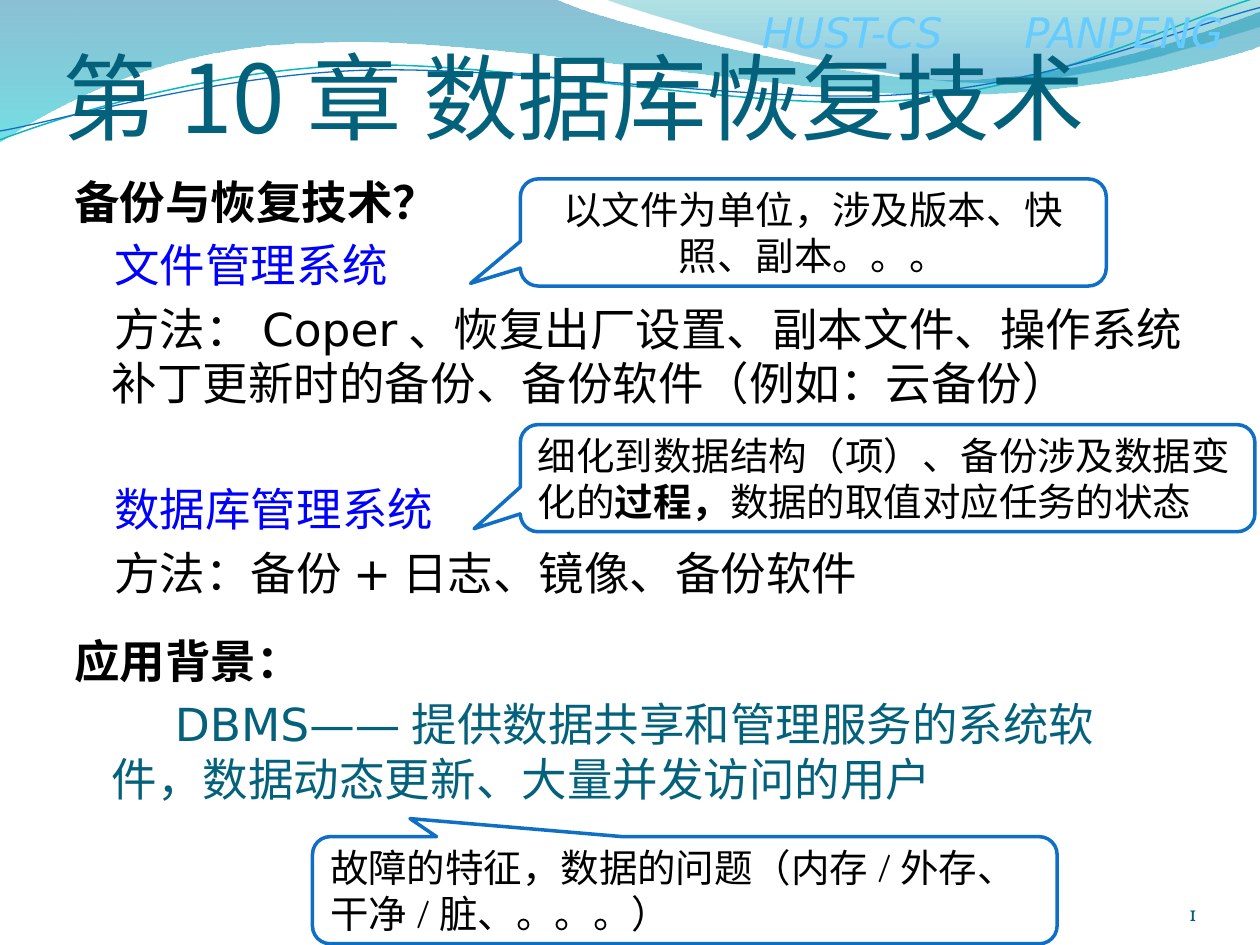
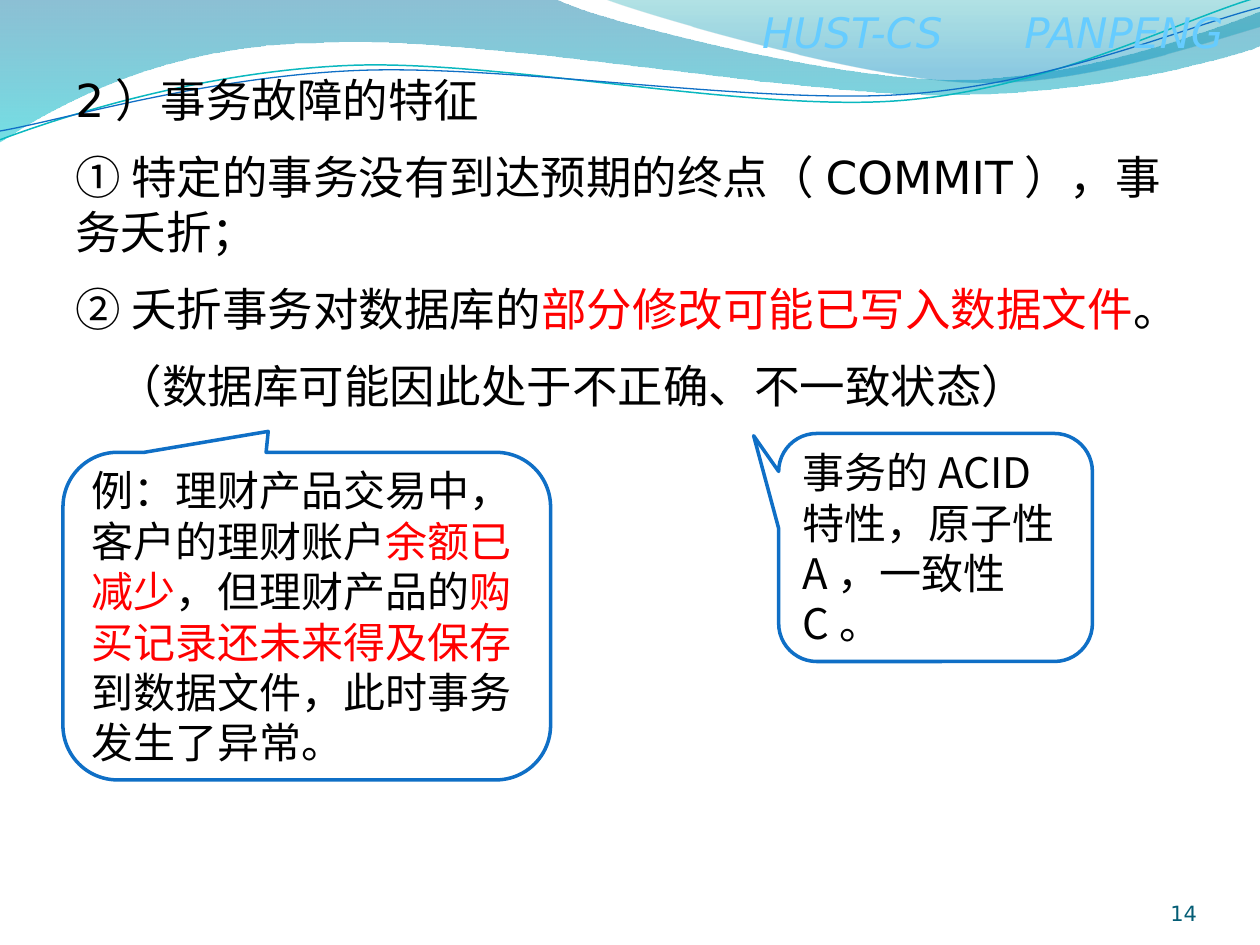
from pptx import Presentation
from pptx.dml.color import RGBColor
from pptx.enum.shapes import MSO_SHAPE
from pptx.enum.text import MSO_ANCHOR, PP_ALIGN
from pptx.oxml.ns import qn
from pptx.util import Inches, Pt
from lxml.etree import SubElement

COLORS = {
    "ink": "000000", "paper": "FFFFFF", "teal": "04617B", "page": "045D75",
    "link": "0000FF", "alert": "FF0000", "edge": "0F6FC6", "sky": "66CCFF",
    "aqua": "0AB8BF", "deep": "0074A1", "cyan": "00C6CF", "sea": "00A1A9",
    "blue": "008BBF",
}
SANS, SERIF, BOOK = "DejaVu Sans", "Times New Roman", "Vollkorn"
HAN, TITLE = "Noto Sans CJK SC", "Noto Sans CJK JP"
LEAD = 1.2

# Each wave is a start point followed by line ends (2 numbers) or curves (6).
CREST = [(0, -0.01), (4.4, -0.01), (4.76, 0.17, 6.64, 0.63, 7.58, 0.63),
         (8.53, 0.63, 9.58, 0.26, 10, 0.09), (10.01, 0.36),
         (9.83, 0.44, 8.7, 0.76, 7.46, 0.75), (6.22, 0.75, 3.82, 0.28, 2.57, 0.34),
         (1.29, 0.35, 0.46, 0.83, -0.01, 1.13)]
SWELL = [(4.79, -0.01), (5.09, 0.11, 6.82, 0.62, 7.69, 0.65),
         (8.56, 0.69, 9.61, 0.32, 10, 0.21), (10, 0)]
UPPER = [(0, 1.11), (0.48, 0.93, 1.58, 0.57, 2.77, 0.52),
         (3.95, 0.47, 5.93, 0.89, 7.13, 0.8), (8.33, 0.71, 9.38, 0.15, 9.98, -0.02)]
LOWER = [(0, 1.04), (0.47, 0.96, 1.64, 0.61, 2.83, 0.56),
         (4.03, 0.51, 5.97, 0.83, 7.17, 0.75), (8.36, 0.67, 9.41, 0.21, 10, 0.06)]


def rgb(name):
    return RGBColor.from_string(COLORS[name])


def wave(slide, steps, close=False):
    """Build a freeform, then join each three curve points into one curve."""
    points = [(Inches(x), Inches(y)) for step in steps
              for x, y in zip(step[::2], step[1::2])]
    pen = slide.shapes.build_freeform(*points[0])
    pen.add_line_segments(points[1:], close=close)
    shape = pen.convert_to_shape()
    shape.shadow.inherit = False
    lines = shape._element.iter(qn("a:lnTo"))
    lines = iter(list(lines))
    for step in steps[1:]:
        first = next(lines)
        if len(step) == 6:
            first.tag = qn("a:cubicBezTo")
            for _ in range(2):
                other = next(lines)
                first.append(other[0])
                other.getparent().remove(other)
    return shape


def sheet(slide, steps, stops):
    """Draw a closed wave with a clear downward gradient."""
    shape = wave(slide, steps, close=True)
    shape.line.fill.background()
    shape.fill.gradient()
    shape.fill.gradient_angle = 270
    for stop, (place, color, _) in zip(shape.fill.gradient_stops, stops):
        stop.position = place
        stop.color.rgb = rgb(color)
    for tint, (_, _, alpha) in zip(shape._element.iter(qn("a:srgbClr")), stops):
        SubElement(tint, qn("a:alpha")).set("val", str(alpha * 1000))


def strand(slide, steps, color, width):
    shape = wave(slide, steps)
    shape.fill.background()
    shape.line.color.rgb = rgb(color)
    shape.line.width = Pt(width)


def write(frame, *runs, size=26, font=SANS, color="ink", bold=False, italic=False,
          align=PP_ALIGN.LEFT, before=0, left=0, first=0):
    """Add a paragraph; a run is a string or (string, format changes)."""
    para = frame.paragraphs[0]
    if para.runs:
        para = frame.add_paragraph()
    para.alignment = align
    para.space_before = Pt(before)
    para.line_spacing = Pt(round(size * LEAD, 1))
    props = para._p.get_or_add_pPr()
    props.set("marL", str(Inches(left)))
    props.set("indent", str(Inches(first)))
    props.set("hangingPunct", "0")
    for item in runs:
        words, extra = (item, {}) if isinstance(item, str) else item
        look = {"font": font, "color": color, "bold": bold, "gap": 0, **extra}
        run = para.add_run()
        run.text = words
        run.font.size, run.font.name = Pt(size), look["font"]
        run.font.bold, run.font.italic = look["bold"], italic
        run.font.color.rgb = rgb(look["color"])
        props = run._r.get_or_add_rPr()
        if look["gap"]:
            props.set("spc", str(look["gap"] * 100))
        face = TITLE if look["font"] == TITLE else HAN
        SubElement(props, qn("a:ea")).set("typeface", face)


def area(slide, box, anchor=MSO_ANCHOR.TOP, inset=None):
    frame = slide.shapes.add_textbox(*map(Inches, box)).text_frame
    frame.word_wrap = True
    frame.vertical_anchor = anchor
    if inset is not None:
        frame.margin_left = frame.margin_right = Inches(inset)
        frame.margin_top = frame.margin_bottom = Inches(inset)
    return frame


def callout(slide, box, tip, *runs, **look):
    shape = slide.shapes.add_shape(MSO_SHAPE.ROUNDED_RECTANGULAR_CALLOUT,
                                   *map(Inches, box))
    shape.adjustments[0], shape.adjustments[1] = tip
    shape.shadow.inherit = False
    shape.fill.solid()
    shape.fill.fore_color.rgb = rgb("paper")
    shape.line.color.rgb = rgb("edge")
    shape.line.width = Pt(2)
    frame = shape.text_frame
    frame.word_wrap = True
    frame.vertical_anchor = MSO_ANCHOR.MIDDLE
    write(frame, *runs, **look)


def page(deck, number, font):
    """Add a slide with the shared waves, header and page number."""
    slide = deck.slides.add_slide(deck.slide_layouts[6])
    sheet(slide, CREST, [(0, "deep", 45), (1, "cyan", 55)])
    sheet(slide, SWELL, [(0, "sea", 30), (0.8, "blue", 45)])
    strand(slide, UPPER, "aqua", 0.85)
    strand(slide, LOWER, "edge", 0.75)
    write(area(slide, (5.95, 0, 4.05, 0.5)), "HUST-CS", (" ", {"gap": 39}),
          "PANPENG", size=24, color="sky", italic=True)
    write(area(slide, (8.67, 6.95, 0.83, 0.4), MSO_ANCHOR.BOTTOM, 0), number,
          size=12, font=font, color="page", align=PP_ALIGN.RIGHT)
    return slide


def recovery(deck):
    slide = page(deck, "1", BOOK)
    write(area(slide, (0.5, 0.36, 9, 0.85), MSO_ANCHOR.BOTTOM, 0),
          "第10章 数据库恢复技术", size=54, font=TITLE, color="teal")
    body = area(slide, (0.49, 1.33, 9, 5.41))
    item = {"left": 0.3, "first": 0.02, "before": 5}
    write(body, "备份与恢复技术？", bold=True)
    write(body, "文件管理系统", color="link", **item)
    write(body, "方法：Coper、恢复出厂设置、副本文件、操作系统"
                "补丁更新时的备份、备份软件（例如：云备份）", **item)
    write(body, "数据库管理系统", color="link", **{**item, "before": 41})
    write(body, "方法：备份+日志、镜像、备份软件", **item)
    write(body, "应用背景：", bold=True, before=19)
    write(body, "DBMS——提供数据共享和管理服务的系统软件，"
                "数据动态更新、大量并发访问的用户",
          color="teal", **{**item, "first": 0.5})
    note = {"size": 22, "font": BOOK}
    callout(slide, (4.13, 1.42, 4.65, 0.85), (-0.585, 0.475),
            "以文件为单位，涉及版本、快照、副本。。。", align=PP_ALIGN.CENTER, **note)
    callout(slide, (4.13, 3.37, 5.83, 0.85), (-0.563, 0.472),
            "细化到数据结构（项）、备份涉及数据变化的", ("过程，", {"bold": True}),
            "数据的取值对应任务的状态", **note)
    callout(slide, (2.48, 6.64, 5.91, 0.85), (-0.369, -0.669),
            "故障的特征，数据的问题（内存/外存、干净/脏、。。。）", **note)


def failure(deck):
    slide = page(deck, "14", SANS)
    body = area(slide, (0.5, 0.52, 9, 6.4))
    han, sans, red = {"font": HAN}, {"font": SANS}, {"color": "alert"}
    item = {"font": SERIF, "before": 13}
    write(body, ("2", sans), "）事务故障的特征", font=SERIF)
    write(body, ("①", han), (" 特定的事务没有到达预期的终点（COMMIT），", sans),
          "事务夭折；", **item)
    write(body, ("② ", han), "夭折事务对数据库的",
          ("部分修改可能已写入数据文件", red), "。", **item)
    write(body, "（数据库可能因此处于不正确、不一致状态）", first=0.33, **item)
    note = {"size": 24, "font": HAN}
    callout(slide, (6.18, 3.44, 2.49, 1.81), (-0.58, -0.49),
            "事务的ACID特性，原子性A，一致性C。", **note)
    callout(slide, (0.5, 3.59, 3.87, 2.6), (-0.079, -0.564),
            "例：理财产品交易中，客户的理财账户", ("余额已减少", red),
            "，但理财产品的", ("购买记录还未来得及保存", red),
            "到数据文件，此时事务发生了异常。", **note)


def main():
    deck = Presentation()
    deck.slide_width, deck.slide_height = Inches(10), Inches(7.5)
    recovery(deck)
    failure(deck)
    deck.save("out.pptx")


if __name__ == "__main__":
    main()
